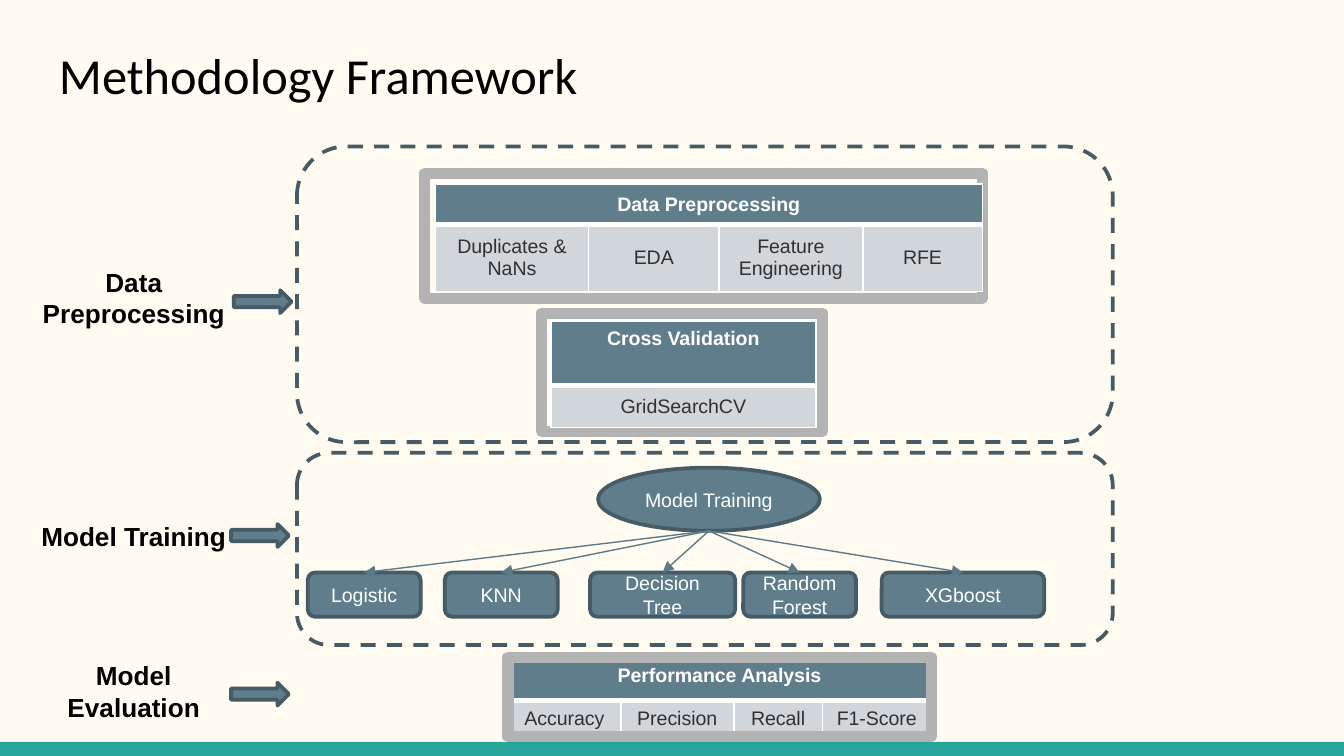
from typing import NamedTuple

from lxml import etree
from pptx import Presentation
from pptx.dml.color import RGBColor
from pptx.enum import dml, shapes, text
from pptx.oxml import ns
from pptx.util import Inches, Pt

HUE = {
    "paper": "FFFBF0", "teal": "26A69A", "slate": "607D8B", "edge": "465B65",
    "link": "5B7A88", "gray": "B3B3B3", "pale": "D1D6DA", "ink": "313131",
    "white": "FFFFFF", "black": "000000",
}
KIND = shapes.MSO_SHAPE
MID = text.MSO_ANCHOR.MIDDLE
TOP = text.MSO_ANCHOR.TOP


class Box(NamedTuple):
    left: float
    top: float
    width: float
    height: float

    def emu(self) -> list:
        return [Inches(v) for v in self]


class Grid(NamedTuple):
    left: float
    top: float
    cols: list
    rows: list
    head: str
    cells: list
    anchor: text.MSO_ANCHOR


class Stage(NamedTuple):
    label: str
    box: Box
    arrow: tuple


class Node(NamedTuple):
    label: str
    left: float
    width: float


def color(name: str) -> RGBColor:
    return RGBColor.from_string(HUE[name])


def write(frame, words: str, *, size=10.5, font="Arial", hue="white",
          bold=False, align=text.PP_ALIGN.CENTER, anchor=MID) -> None:
    frame.word_wrap = True
    frame.vertical_anchor = anchor
    para = frame.paragraphs[0]
    para.alignment = align
    run = para.add_run()
    run.text = words
    run.font.size = Pt(size)
    run.font.name = font
    run.font.bold = bold
    run.font.color.rgb = color(hue)


def draw(slide, kind, box: Box, fill=None, line=None, width=2, dash=False):
    shape = slide.shapes.add_shape(kind, *box.emu())
    shape.shadow.inherit = False
    if fill:
        shape.fill.solid()
        shape.fill.fore_color.rgb = color(fill)
    else:
        shape.fill.background()
    if line:
        shape.line.color.rgb = color(line)
        shape.line.width = Pt(width)
        if dash:
            shape.line.dash_style = dml.MSO_LINE.DASH
    else:
        shape.line.fill.background()
    return shape


def label(slide, words: str, box: Box, **style) -> None:
    area = slide.shapes.add_textbox(*box.emu())
    write(area.text_frame, words, **style)


def link(slide, start: tuple, node) -> None:
    """Draw an arrow from a point to the top of a node."""
    x, y = (Inches(v) for v in start)
    line = slide.shapes.add_connector(
        shapes.MSO_CONNECTOR.STRAIGHT, x, y, node.left, node.top)
    line.end_connect(node, 0)
    line.line.color.rgb = color("link")
    line.line.width = Pt(0.75)
    tail = etree.SubElement(line.line._get_or_add_ln(), ns.qn("a:tailEnd"))
    tail.set("type", "triangle")
    etree.SubElement(line._element.spPr, ns.qn("a:effectLst"))


def paint(cell, fill: str, **widths) -> None:
    """Give a cell its white borders, widths in points by side, and its fill."""
    props = cell._tc.get_or_add_tcPr()
    for side in "LRTB":
        edge = etree.SubElement(props, ns.qn("a:ln" + side))
        edge.set("w", str(Pt(widths.get(side, 1))))
        solid = etree.SubElement(edge, ns.qn("a:solidFill"))
        etree.SubElement(solid, ns.qn("a:srgbClr")).set("val", HUE["white"])
    cell.fill.solid()
    cell.fill.fore_color.rgb = color(fill)


def tabulate(slide, grid: Grid) -> None:
    box = Box(grid.left, grid.top, sum(grid.cols), sum(grid.rows))
    table = slide.shapes.add_table(2, len(grid.cols), *box.emu()).table
    table.first_row = table.horz_banding = False
    for row, high in zip(table.rows, grid.rows):
        row.height = Inches(high)
    for i, (wide, words) in enumerate(zip(grid.cols, grid.cells)):
        table.columns[i].width = Inches(wide)
        paint(table.cell(0, i), "slate", B=3)
        body = table.cell(1, i)
        paint(body, "pale", T=3)
        write(body.text_frame, words, hue="ink")
        body.vertical_anchor = MID
    head = table.cell(0, 0)
    if len(grid.cols) > 1:
        head.merge(table.cell(0, len(grid.cols) - 1))
    write(head.text_frame, grid.head, bold=True)
    head.vertical_anchor = grid.anchor


PANELS = [Box(2.21, 3.37, 6.07, 1.43), Box(2.21, 1.09, 6.07, 2.2)]
FRAMES = [Box(4.03, 2.33, 2.09, 0.88), Box(3.16, 1.29, 4.15, 0.93)]
SCORES = Box(3.78, 4.89, 3.15, 0.59)
GRIDS = [
    Grid(3.24, 1.37, [1.14, 0.97, 1.07, 0.89], [0.3, 0.5], "Data Preprocessing",
         ["Duplicates & NaNs", "EDA", "Feature Engineering", "RFE"], MID),
    Grid(4.1, 2.39, [1.97], [0.48, 0.31], "Cross Validation",
         ["GridSearchCV"], TOP),
    Grid(3.78, 4.9, [0.84, 0.84, 0.66, 0.81], [0.31, 0.23],
         "Performance Analysis",
         ["Accuracy", "Precision", "Recall", "F1-Score"], TOP),
]
NODES = [
    Node("Logistic", 2.29, 0.84), Node("KNN", 3.31, 0.84),
    Node("Decision Tree", 4.39, 1.08), Node("Random Forest", 5.53, 0.84),
    Node("XGboost", 6.56, 1.21),
]
STAGES = [
    Stage("Data Preprocessing", Box(0.2, 1.93, 1.59, 0.57), (1.74, 2.16)),
    Stage("Model Training", Box(0.2, 3.82, 1.59, 0.34), (1.72, 3.9)),
    Stage("Model Evaluation", Box(0.14, 4.86, 1.71, 0.57), (1.72, 5.08)),
]
ROOT = Box(4.45, 3.48, 1.65, 0.47)


def main() -> None:
    deck = Presentation()
    deck.slide_width = Inches(10)
    deck.slide_height = deck.slide_width * 9 // 16
    slide = deck.slides.add_slide(deck.slide_layouts[6])
    slide.background.fill.solid()
    slide.background.fill.fore_color.rgb = color("paper")

    draw(slide, KIND.RECTANGLE, Box(0, 5.52, 10, 0.11), "teal")
    for box in PANELS:
        draw(slide, KIND.ROUNDED_RECTANGLE, box, line="edge", dash=True)
    for box in FRAMES:
        draw(slide, KIND.RECTANGLE, box, line="gray", width=6)
    label(slide, "Methodology Framework", Box(0.34, 0.22, 9.32, 0.67), size=27,
          font="Calibri", hue="black", align=text.PP_ALIGN.LEFT)
    for grid in GRIDS:
        tabulate(slide, grid)
    draw(slide, KIND.RECTANGLE, SCORES, line="gray", width=6)

    root = draw(slide, KIND.OVAL, ROOT, "slate", "edge")
    write(root.text_frame, "Model Training")
    start = (ROOT.left + ROOT.width / 2, ROOT.top + ROOT.height)
    for node in NODES:
        box = Box(node.left, 4.26, node.width, 0.33)
        shape = draw(slide, KIND.ROUNDED_RECTANGLE, box, "slate", "edge")
        write(shape.text_frame, node.label)
        link(slide, start, shape)

    for stage in STAGES:
        label(slide, stage.label, stage.box, size=14, hue="black", bold=True,
              anchor=TOP)
        draw(slide, KIND.RIGHT_ARROW, Box(*stage.arrow, 0.43, 0.17),
             "slate", "edge")
    deck.save("out.pptx")


if __name__ == "__main__":
    main()
